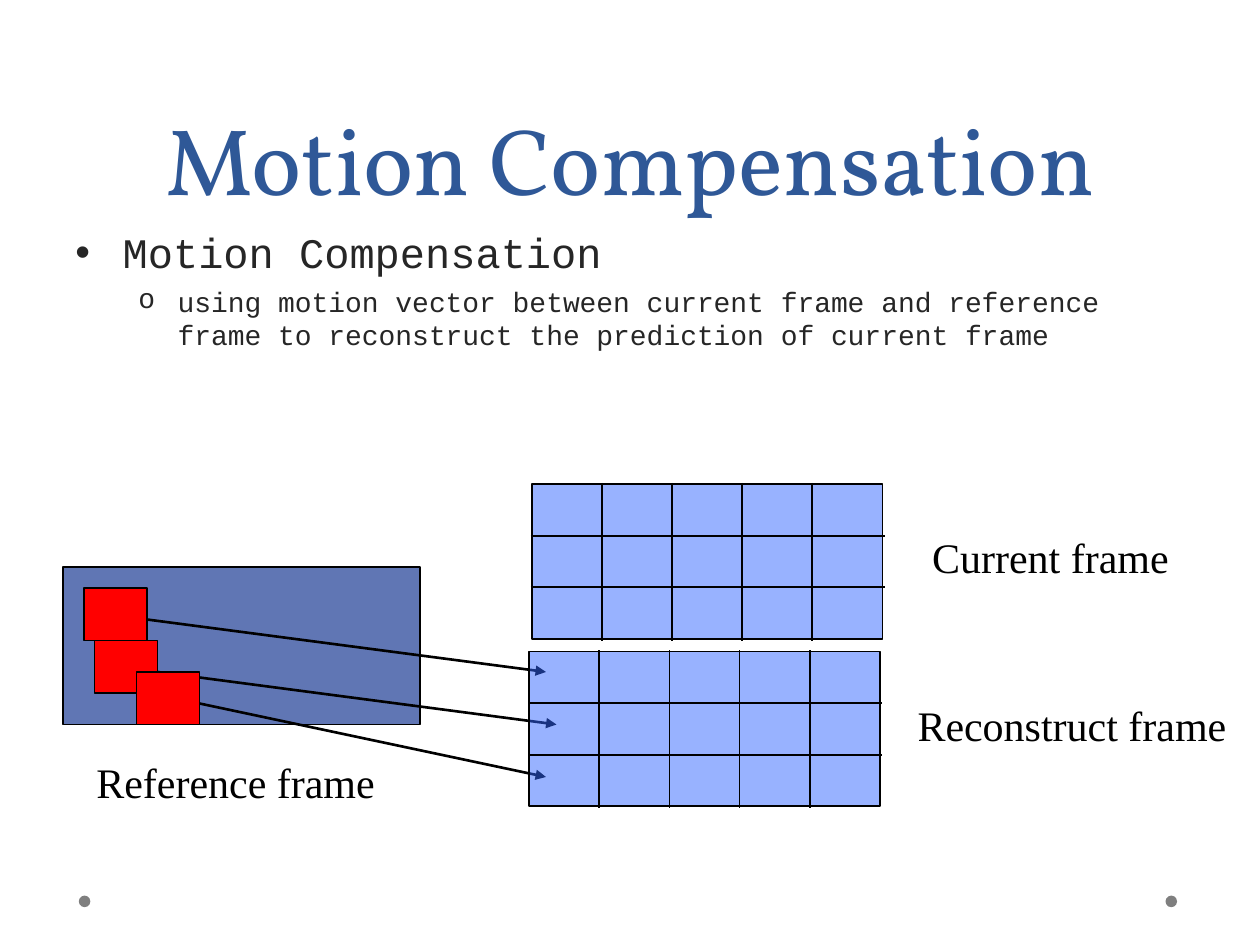
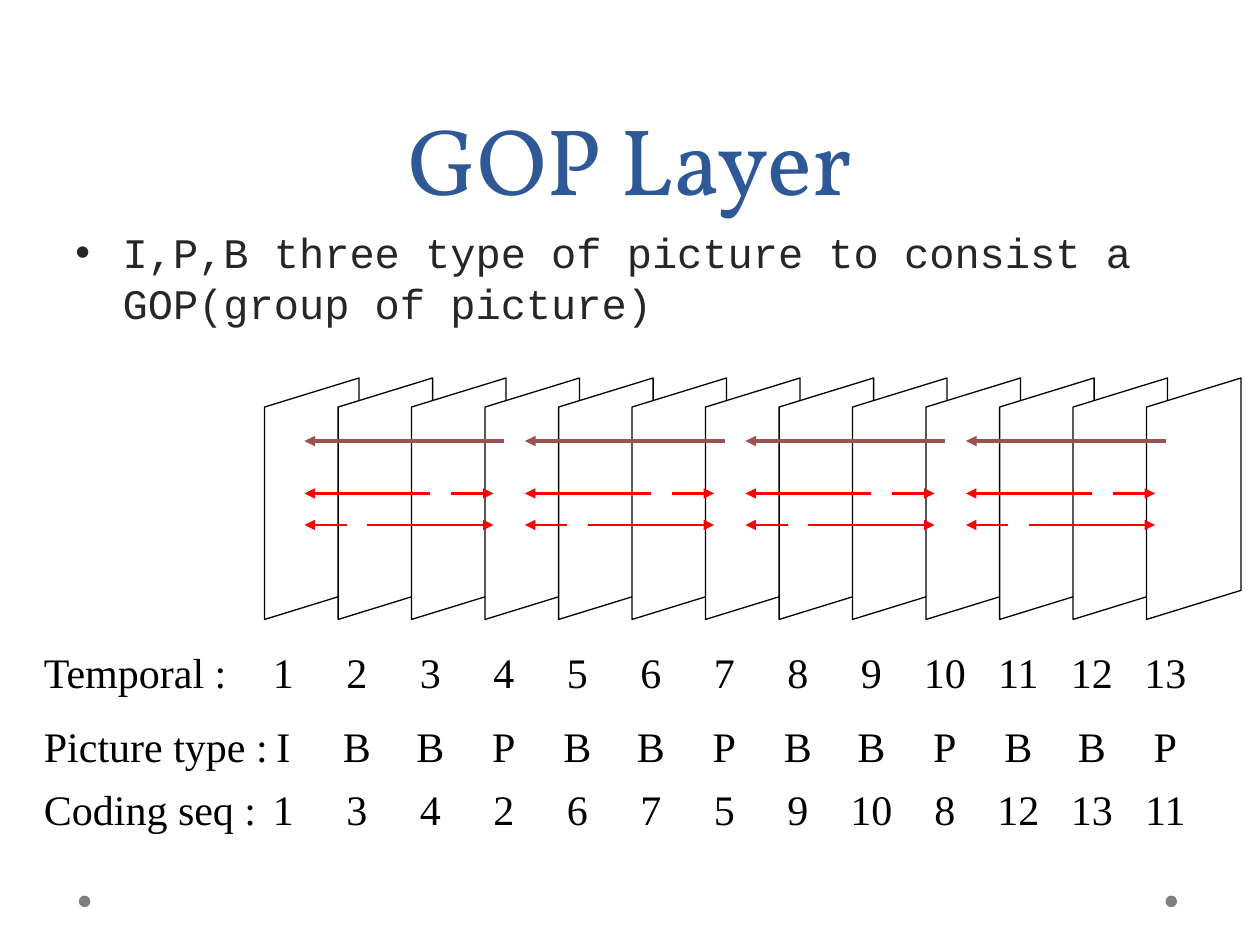
from pptx import Presentation, util as u
from pptx.dml.color import RGBColor
from pptx.enum import shapes, text
from pptx.oxml.ns import qn
from lxml import etree

BLACK = RGBColor(0, 0, 0)
WHITE = RGBColor(0xFF, 0xFF, 0xFF)
RED = RGBColor(0xFF, 0, 0)
BROWN = RGBColor(0x9C, 0x52, 0x52)
TITLE_BLUE = RGBColor(0x2F, 0x58, 0x97)
BODY_GREY = RGBColor(0x26, 0x26, 0x26)
DOT_GREY = RGBColor(0x7F, 0x7F, 0x7F)
REFERENCE_BLUE = RGBColor(0x60, 0x76, 0xB4)
FRAME_BLUE = RGBColor(0x33, 0x66, 0xFF)
TITLE_FONT, BODY_FONT, LABEL_FONT = "Vollkorn", "Courier New", "Times New Roman"

# The slide is a grid of 120 columns by 90 rows; all lengths are in cells.
W, H = u.Inches(10), u.Inches(7.5)
CELL = W // 120

# Per level: bullet, bullet font, left margin, size, space before
LEVELS = [("•", "Arial", 4.5, 24, 6), ("o", BODY_FONT, 9.75, 16, 4)]
HANGING = [4.5, 3.75]


def cells(*values):
    return [u.Emu(round(v * CELL)) for v in values]


def sub(parent, tag, **attrs):
    return etree.SubElement(parent, qn(tag), {k: str(v) for k, v in attrs.items()})


def add_shape(s, kind, box, fill, line=None, alpha=None):
    sp = s.shapes.add_shape(kind, *cells(*box))
    sp.shadow.inherit = False
    sp.fill.solid()
    sp.fill.fore_color.rgb = fill
    if alpha:
        color = sp._element.spPr.find(qn("a:solidFill"))[0]
        sub(color, "a:alpha", val=alpha * 1000)
    if line:
        sp.line.color.rgb = BLACK
        sp.line.width = u.Pt(line)
    else:
        sp.line.fill.background()
    return sp


def add_line(s, start, end, color=BLACK, width=1, arrow=False):
    c = s.shapes.add_connector(shapes.MSO_CONNECTOR.STRAIGHT, *cells(*start, *end))
    c.line.color.rgb = color
    c.line.width = u.Pt(width)
    spPr = c._element.spPr
    if arrow:
        sub(spPr.find(qn("a:ln")), "a:tailEnd", type="triangle")
    sub(spPr, "a:effectLst")


def add_label(s, box, label, wrap=False):
    tf = s.shapes.add_textbox(*cells(*box)).text_frame
    tf.word_wrap = wrap
    p = tf.paragraphs[0]
    p.text = label
    style(p, LABEL_FONT, 24, BLACK)
    return p


def style(p, font, size, color):
    p.font.name, p.font.size, p.font.color.rgb = font, u.Pt(size), color


def add_title_slide(prs, title):
    s = prs.slides.add_slide(prs.slide_layouts[5])
    # Footer dots
    for x in (7.5, 111):
        add_shape(s, shapes.MSO_SHAPE.OVAL, (x, 85.3, 1.1, 1.1), DOT_GREY)
    # Title
    sp = s.shapes.title
    sp.left, sp.top, sp.width, sp.height = cells(6, 0, 108, 21)
    tf = sp.text_frame
    tf.text = title
    tf.auto_size = text.MSO_AUTO_SIZE.NONE
    tf.vertical_anchor = text.MSO_ANCHOR.BOTTOM
    p = tf.paragraphs[0]
    p.alignment = text.PP_ALIGN.CENTER
    p.line_spacing = u.Pt(58)
    style(p, TITLE_FONT, 54, TITLE_BLUE)
    return s


def add_bullets(s, box, items):
    tf = s.shapes.add_textbox(*cells(*box)).text_frame
    tf.word_wrap = True
    for i, (level, item) in enumerate(items):
        p = tf.add_paragraph() if i else tf.paragraphs[0]
        p.text, p.level = item, level
        char, bullet_font, margin, size, before = LEVELS[level]
        p.space_before = u.Pt(before)
        style(p, BODY_FONT, size, BODY_GREY)
        pPr = p._p.get_or_add_pPr()
        pPr.set("marL", str(round(margin * CELL)))
        pPr.set("indent", str(round(-HANGING[level] * CELL)))
        # Bullet elements go ahead of the default run properties
        bullets = [sub(pPr, "a:buFont", typeface=bullet_font),
                   sub(pPr, "a:buChar", char=char)]
        for bullet in bullets:
            pPr.find(qn("a:defRPr")).addprevious(bullet)


def add_block_frame(s, box, columns=5, rows=3):
    """Translucent frame divided into blocks by slightly overhanging lines."""
    x, y, w, h = box
    add_shape(s, shapes.MSO_SHAPE.RECTANGLE, box, FRAME_BLUE, 1, alpha=50)
    for i in range(1, rows):
        row_y = y + h * i / rows
        add_line(s, (x - 0.1, row_y), (x + w + 0.2, row_y))
    for i in range(1, columns):
        column_x = x + w * i / columns
        add_line(s, (column_x, y - 0.1), (column_x, y + h + 0.2))


def add_reference_frame(s, box):
    """Reference frame whose red blocks point at their new places."""
    x, y, w, h = box
    add_shape(s, shapes.MSO_SHAPE.RECTANGLE, box, REFERENCE_BLUE, 0.75)
    add_label(s, (x + 2, y + 17.5, 29, 6), "Reference frame")
    block_w, block_h = 6, 5
    # Block column and row, then arrow target, all from the frame's corner
    for bx, by, to_x, to_y in ((2, 2, 46, 10), (3, 7, 47, 15), (7, 10, 46, 20)):
        add_shape(s, shapes.MSO_SHAPE.RECTANGLE,
                  (x + bx, y + by, block_w, block_h), RED, 0.75)
        add_line(s, (x + bx + block_w, y + by + 3), (x + to_x, y + to_y),
                 width=1.5, arrow=True)


def add_picture_stack(s, box, count=13, pitch=7):
    """Overlapping slanted pictures; box is that of the first one."""
    x, y, w, h = box
    for i in range(count):
        # Lying shape with the same centre, turned upright
        left = x + i * pitch + (w - h) / 2
        sp = add_shape(s, shapes.MSO_SHAPE.PARALLELOGRAM,
                       (left, y + (h - w) / 2, h, w), WHITE, 0.75)
        sp.adjustments[0] = 0.308
        sp.rotation = 90
        sp._element.spPr.find(qn("a:xfrm")).set("flipV", "1")


def add_prediction_arrows(s, x, y, groups=4, pitch=21):
    """Arrows from each predicted picture to its references, per group."""
    arrows = [(19, 0, 0, BROWN, 2),
              (12, 0, 5, RED, 1.5), (14, 18, 5, RED, 1.5),
              (4, 0, 8, RED, 1.5), (6, 18, 8, RED, 1.5)]
    for i in range(groups):
        gx = x + i * pitch
        for start, end, dy, color, width in arrows:
            add_line(s, (gx + start, y + dy), (gx + end, y + dy),
                     color, width, arrow=True)


def add_sequence_row(s, box, name, values, first=27, pitch=7):
    """Row label followed by values centred on evenly spaced tab stops."""
    p = add_label(s, box, "\t".join([name] + values.split()), wrap=True)
    pPr = p._p.get_or_add_pPr()
    tabs = sub(pPr, "a:tabLst")
    pPr.find(qn("a:defRPr")).addprevious(tabs)
    text_left = box[0] * CELL + u.Inches(0.1)
    for i in range(len(values.split())):
        stop = round((first + i * pitch) * CELL - text_left)
        sub(tabs, "a:tab", pos=stop, algn="ctr")


def motion_slide(prs):
    s = add_title_slide(prs, "Motion Compensation")
    add_bullets(s, (6, 21, 108, 21), [
        (0, "Motion Compensation"),
        (1, "using motion vector between current frame and reference frame "
            "to reconstruct the prediction of current frame")])
    add_reference_frame(s, (6, 54, 34, 15))
    for x, y, label_x, label_w, label in (
            (50.65, 46.1, 87.6, 25, "Current frame"),
            (50.4, 62.05, 86.2, 31.8, "Reconstruct frame")):
        add_block_frame(s, (x, y, 33.4, 14.75))
        add_label(s, (label_x, y + 3.95, label_w, 6), label)


def gop_slide(prs):
    s = add_title_slide(prs, "GOP Layer")
    add_bullets(s, (6, 21, 108, 15.75), [
        (0, "I,P,B three type of picture to consist a GOP(group of picture)")])
    add_picture_stack(s, (25.2, 36, 9, 23))
    add_prediction_arrows(s, 29, 42)
    for y, name, values in (
            (61, "Temporal :", "1 2 3 4 5 6 7 8 9 10 11 12 13"),
            (68, "Picture type :", "I B B P B B P B B P B B P"),
            (74, "Coding seq :", "1 3 4 2 6 7 5 9 10 8 12 13 11")):
        add_sequence_row(s, (3, y, 117, 6), name, values)


def main():
    prs = Presentation()
    prs.slide_width, prs.slide_height = W, H
    motion_slide(prs)
    gop_slide(prs)
    prs.save("out.pptx")


if __name__ == "__main__":
    main()
